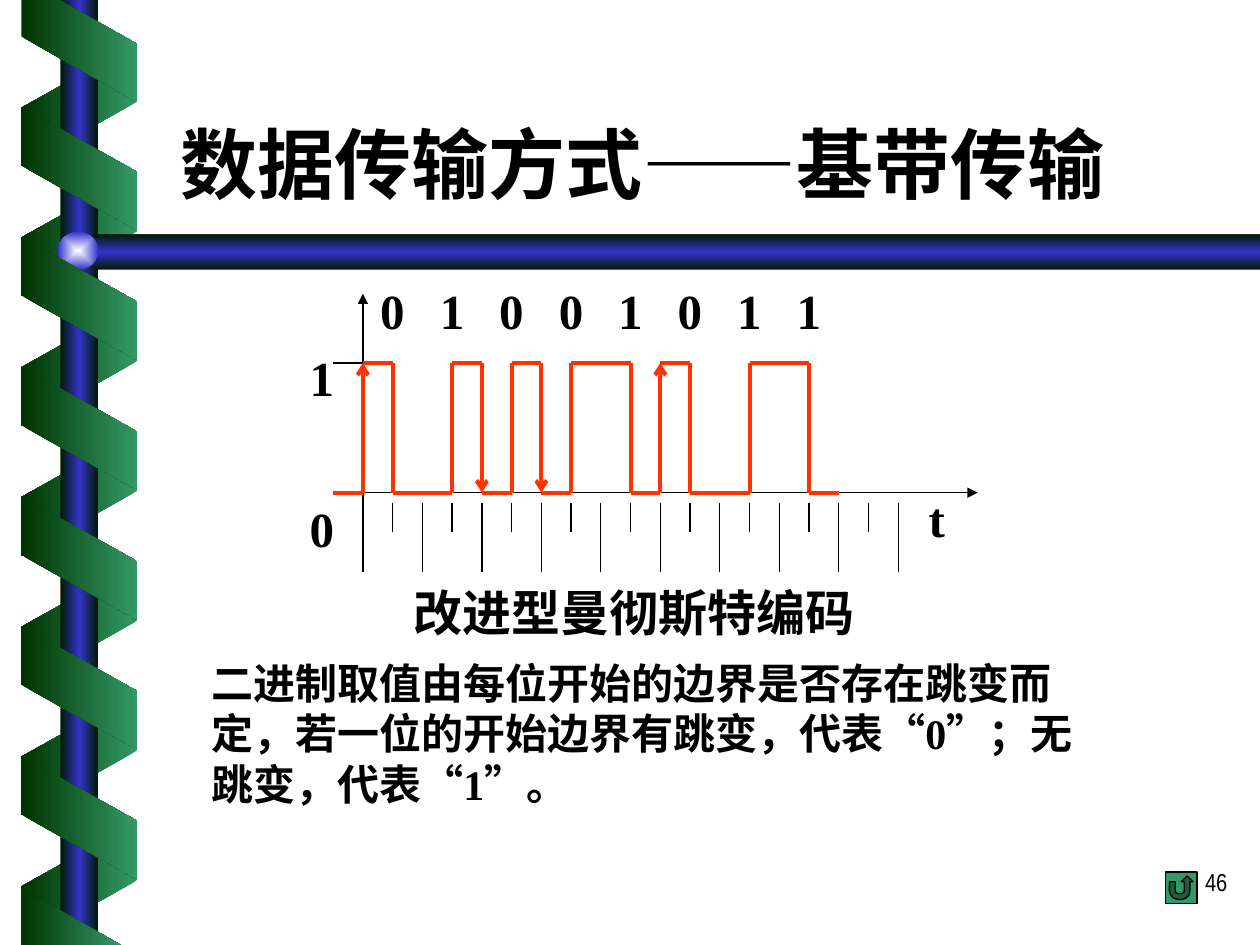
import itertools

import pptx
import pptx.util
import pptx.oxml
import pptx.dml.color
import pptx.enum.shapes
import pptx.enum.text

Inches, Pt = pptx.util.Inches, pptx.util.Pt
SHAPE = pptx.enum.shapes.MSO_SHAPE
ALIGN = pptx.enum.text.PP_ALIGN
rgb = pptx.dml.color.RGBColor.from_string
NS = 'xmlns:a="http://schemas.openxmlformats.org/drawingml/2006/main"'
DARK, LIGHT, BLUE, NIGHT = "003300", "339966", "3333CC", "001A00"
BLACK, RED = "000000", "FF3300"


def gradient(shape, colours, direction):
    """Fill with evenly spaced colours; direction is an a:lin or a:path element."""
    stops = "".join(
        f'<a:gs pos="{100000 * i // (len(colours) - 1)}"><a:srgbClr val="{c}"/></a:gs>'
        for i, c in enumerate(colours))
    shape.shadow.inherit = False
    shape.line.fill.background()
    shape.fill.background()
    old = shape._element.spPr.find(pptx.oxml.ns.qn("a:noFill"))
    old.getparent().replace(old, pptx.oxml.parse_xml(
        f'<a:gradFill {NS} rotWithShape="0"><a:gsLst>{stops}</a:gsLst>{direction}</a:gradFill>'))


def line(x1, y1, x2, y2, colour=BLACK, width=0.75, arrow=None):
    c = s.shapes.add_connector(pptx.enum.shapes.MSO_CONNECTOR.STRAIGHT,
                               Inches(x1), Inches(y1), Inches(x2), Inches(y2))
    c.line.color.rgb = rgb(colour)
    c.line.width = Pt(width)
    if arrow:
        c.line._get_or_add_ln().append(
            pptx.oxml.parse_xml(f'<a:tailEnd {NS} type="{arrow}"/>'))
    c._element.spPr.append(pptx.oxml.parse_xml(f"<a:effectLst {NS}/>"))


prs = pptx.Presentation()
prs.slide_width, prs.slide_height = Inches(10), Inches(7.5)
s = prs.slides.add_slide(prs.slide_layouts[5])
ACROSS, DOWN = '<a:lin ang="0" scaled="1"/>', '<a:lin ang="5400000" scaled="1"/>'

# Helix: back bands, pole, bar and ball, then front bands
PITCH = 1.03
back = [(0.37 + PITCH * i, 90, True, (LIGHT, DARK)) for i in range(7)]
front = [(0.88 + PITCH * i, 270, False, (DARK, LIGHT)) for i in range(6)]
for top, turn, flip, colours in back + front:
    if (top, turn) == (front[0][0], 270):
        pole = s.shapes.add_shape(SHAPE.RECTANGLE, Inches(0.48), 0, Inches(0.3), prs.slide_height)
        gradient(pole, (NIGHT, BLUE, NIGHT), ACROSS)
        fb = s.shapes.build_freeform(Inches(10), Inches(1.86))
        fb.add_line_segments([(Inches(x), Inches(y)) for x, y in
                              ((0.76, 1.86), (0.6, 2), (0.76, 2.14), (10, 2.14))])
        gradient(fb.convert_to_shape(), (NIGHT, BLUE, NIGHT), DOWN)
        ball = s.shapes.add_shape(SHAPE.OVAL, Inches(0.46), Inches(1.84), Inches(0.32), Inches(0.3))
        gradient(ball, ("FEFFFF", BLUE), '<a:path path="rect"><a:fillToRect l="50000" '
                 't="50000" r="50000" b="50000"/></a:path>')
    band = s.shapes.add_shape(SHAPE.PARALLELOGRAM, Inches(0.14), Inches(top),
                              Inches(0.98), Inches(0.92))
    band.adjustments[0] = 0.56
    band.rotation = turn
    if flip:
        band._element.spPr.xfrm.set("flipH", "1")
    gradient(band, colours, ACROSS)

# Band ends cut off by the slide edges
for first, *rest in (((0.17, 0), (0.17, 0.29), (1.09, 0.81), (1.09, 0.35), (0.47, 0)),
                     ((0.96, 7.5), (0.17, 7.05), (0.17, 7.5))):
    fb = s.shapes.build_freeform(Inches(first[0]), Inches(first[1]))
    fb.add_line_segments([(Inches(x), Inches(y)) for x, y in rest])
    gradient(fb.convert_to_shape(), (DARK, LIGHT), ACROSS)

button = s.shapes.add_shape(SHAPE.ACTION_BUTTON_RETURN, Inches(9.25), Inches(6.92),
                            Inches(0.25), Inches(0.25))
button.shadow.inherit = False
button.fill.solid()
button.fill.fore_color.rgb = rgb(LIGHT)
button.line.color.rgb = rgb(BLACK)
button.line.width = Pt(0.75)

# Axes and ticks: two half-cells per bit
X0, HIGH, LOW = 2.88, 2.88, 3.91
HALF = (7.13 - X0) / 18
line(X0, 4.54, X0, 2.33, arrow="triangle")
line(X0 - HALF, LOW, 7.76, LOW, arrow="triangle")
line(X0 - HALF, HIGH, X0, HIGH)
for i in range(1, 19):
    line(X0 + i * HALF, 3.99, X0 + i * HALF, 4.22 if i % 2 else 4.54)

# Waveform: one level per half-cell, starting one half-cell before the axis
LEVELS = "01001010110100110"
ARROW_AT = {0, 4, 6, 10}
i, y_before = -1, None
for level, run in itertools.groupby(LEVELS):
    n = len(list(run))
    x, y = X0 + i * HALF, HIGH if level == "1" else LOW
    if y_before is not None:
        line(x, y_before, x, y, RED, 2.25, "arrow" if i in ARROW_AT else None)
    line(x, y, x + n * HALF, y, RED, 2.25)
    i, y_before = i + n, y

# Text: box, wording, size, font, bold, alignment, inset
SERIF, SANS = "Times New Roman", "Arial Narrow"
labels = [(2.32, 3.91, "0"), (2.32, 2.71, "1"), (7.2, 3.83, "t")]
labels += [(X0 + 2 * HALF * k, 2.18, bit) for k, bit in enumerate("01001011")]
texts = [((x, y, 0.47, 0.57), t, 28, SERIF, True, ALIGN.CENTER, (0.1, 0.05)) for x, y, t in labels]
texts += [
    ((1.33, 0.46, 8.5, 1.25), "数据传输方式——基带传输", 44, SANS, True, ALIGN.LEFT, (0.1, 0.05)),
    ((2.32, 4.62, 5.42, 0.42), "改进型曼彻斯特编码", 28, SERIF, True, ALIGN.CENTER, (0, 0)),
    ((1.58, 5.17, 7.33, 1.3), "二进制取值由每位开始的边界是否存在跳变而定，若一位的开始边界有跳变，"
     "代表“0”；无跳变，代表“1”。", 24, SERIF, True, ALIGN.LEFT, (0.1, 0.05)),
    ((7.76, 6.83, 2.08, 0.5), "46", 14, SANS, False, ALIGN.RIGHT, (0.1, 0.05)),
]
for box, text, size, font, bold, align, (inset_x, inset_y) in texts:
    box = [Inches(v) for v in box]
    if size == 44:
        sp = s.shapes.title
        sp.left, sp.top, sp.width, sp.height = box
        sp.text_frame.vertical_anchor = pptx.enum.text.MSO_ANCHOR.BOTTOM
    else:
        sp = s.shapes.add_textbox(*box)
    tf = sp.text_frame
    tf.word_wrap = True
    tf.margin_left = tf.margin_right = Inches(inset_x)
    tf.margin_top = tf.margin_bottom = Inches(inset_y)
    tf.text = text
    p = tf.paragraphs[0]
    p.alignment = align
    p._p.get_or_add_pPr().set("hangingPunct", "0")
    r = p.runs[0]
    r.font.size, r.font.name, r.font.bold = Pt(size), font, bold
    r.font.color.rgb = rgb(BLACK)

prs.save("out.pptx")
